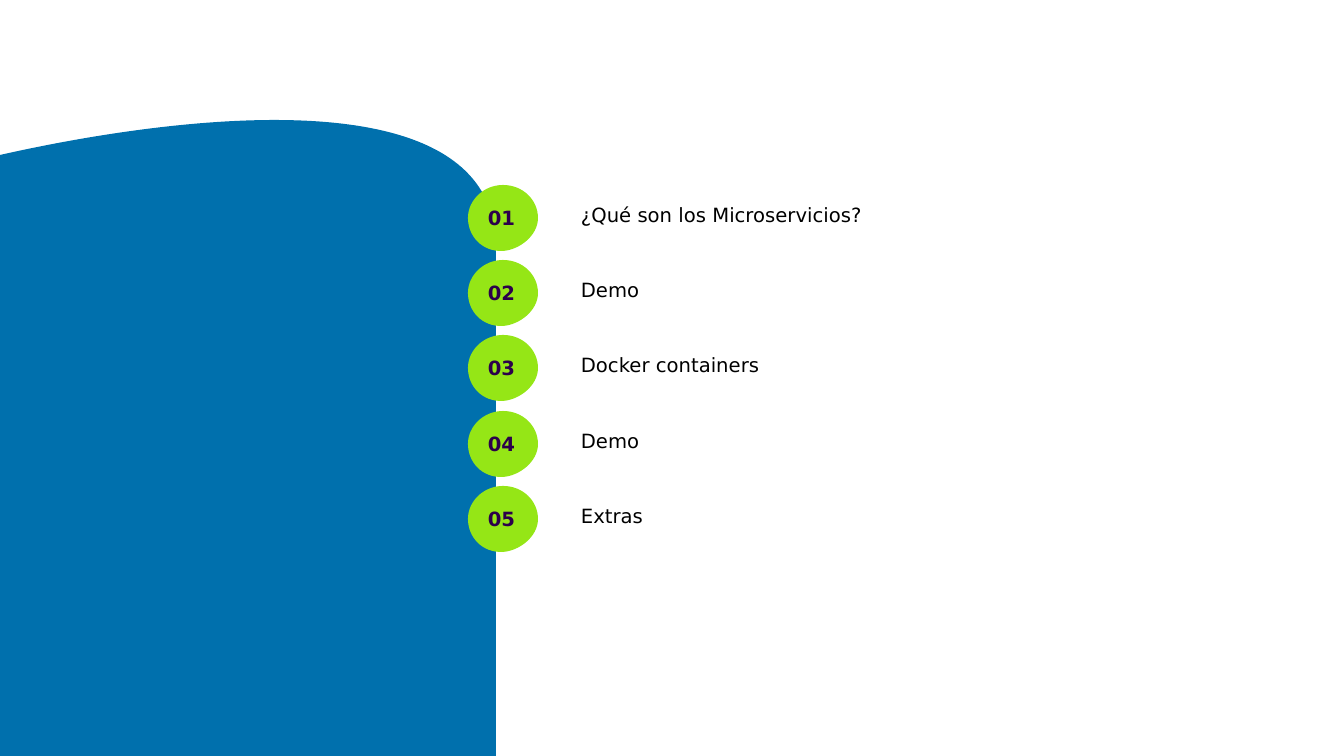
from lxml.etree import SubElement
from pptx import Presentation
from pptx.dml.color import RGBColor
from pptx.enum.text import MSO_ANCHOR, PP_ALIGN
from pptx.oxml.ns import qn
from pptx.util import Pt

EMU_PER_PX = 914400 / 100.8
COLORS = {"wave": "0070AD", "badge": "95E616", "number": "2C004B", "topic": "000000"}
TOPICS = ["¿Qué son los Microservicios?", "Demo", "Docker containers", "Demo", "Extras"]
FIRST_TOP = 185
ROW_PITCH = 301 / 4
WAVE_START = (0, 155)
WAVE_CURVES = [((58, 142), (496, 44), (496, 247))]
WAVE_CORNERS = [(496, 756), (0, 756)]
BADGE_START = (0, 33)
BADGE_CURVES = [
    ((0, 15), (16, 0), (35, 0)),
    ((55, 0), (70, 15), (70, 33)),
    ((70, 51), (51, 65), (35, 66)),
    ((14, 67), (0, 51), (0, 33)),
]


def emu(px):
    return round(px * EMU_PER_PX)


class AgendaSlide:
    font_name = "DejaVu Sans"
    font_size = Pt(14)

    def __init__(self, presentation):
        self.slide = presentation.slides.add_slide(presentation.slide_layouts[6])

    def outline(self, shapes, start, curves, corners, color, left=0, top=0):
        points = [start, *(point for curve in curves for point in curve), *corners]
        vertices = [(emu(left + x), emu(top + y)) for x, y in points]
        builder = shapes.build_freeform(*vertices[0], scale=1.0)
        builder.add_line_segments(vertices[1:], close=True)
        shape = builder.convert_to_shape()
        self.bend(shape, len(curves))
        shape.shadow.inherit = False
        shape.fill.solid()
        shape.fill.fore_color.rgb = RGBColor.from_string(COLORS[color])
        shape.line.fill.background()

    def bend(self, shape, curve_count):
        outline = next(shape.element.iter(qn("a:path")))
        lines = outline.findall(qn("a:lnTo"))
        for index in range(curve_count):
            segment = lines[3 * index:3 * index + 3]
            curve = SubElement(outline, qn("a:cubicBezTo"))
            segment[0].addprevious(curve)
            for line in segment:
                curve.append(line[0])
                outline.remove(line)

    def text(self, shapes, box, content, color, bold=False):
        shape = shapes.add_textbox(*map(emu, box))
        frame = shape.text_frame
        frame.word_wrap = True
        frame.vertical_anchor = MSO_ANCHOR.MIDDLE
        paragraph = frame.paragraphs[0]
        run = paragraph.add_run()
        run.text = content
        run.font.name = self.font_name
        run.font.size = self.font_size
        run.font.bold = bold
        run.font.color.rgb = RGBColor.from_string(COLORS[color])
        return frame

    def wave(self):
        self.outline(self.slide.shapes, WAVE_START, WAVE_CURVES, WAVE_CORNERS, "wave")

    def badge(self, top, label):
        shapes = self.slide.shapes.add_group_shape().shapes
        self.outline(shapes, BADGE_START, BADGE_CURVES, [], "badge", 468, top)
        frame = self.text(shapes, (476, top + 20, 51, 28), label, "number", bold=True)
        frame.margin_left = frame.margin_right = 0
        frame.margin_top = frame.margin_bottom = 0
        frame.paragraphs[0].alignment = PP_ALIGN.CENTER
        frame.paragraphs[0].line_spacing = 0.9

    def topic(self, top, content):
        self.text(self.slide.shapes, (571, top, 613, 61), content, "topic")


def main():
    presentation = Presentation()
    presentation.slide_width = emu(1344)
    presentation.slide_height = emu(756)
    agenda = AgendaSlide(presentation)
    agenda.wave()
    tops = [FIRST_TOP + round(index * ROW_PITCH) for index in range(len(TOPICS))]
    for number, top in enumerate(tops, 1):
        agenda.badge(top, f"{number:02}")
    for top, content in zip(tops, TOPICS):
        agenda.topic(top - 1, content)
    presentation.save("out.pptx")


if __name__ == "__main__":
    main()
